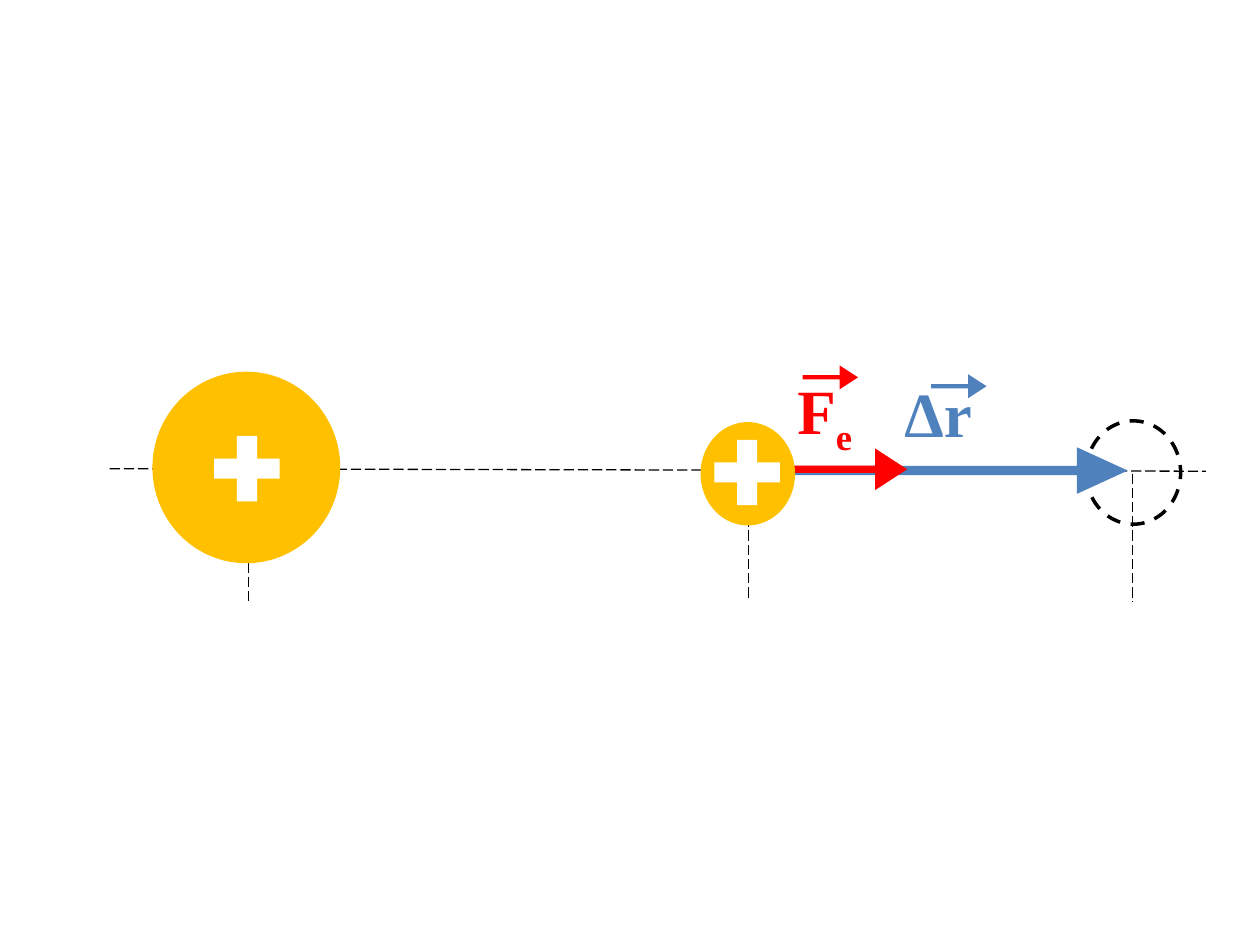
"""Draw the electric force and displacement of a charge repelled by another charge."""
from pptx import Presentation
from pptx import util as u
from pptx.dml.color import RGBColor
from pptx.enum import dml, shapes, text
from pptx.oxml.ns import qn
from lxml import etree

BLACK = RGBColor(0x00, 0x00, 0x00)
WHITE = RGBColor(0xFF, 0xFF, 0xFF)
GOLD = RGBColor(0xFF, 0xC0, 0x00)
RED = RGBColor(0xFF, 0x00, 0x00)
BLUE = RGBColor(0x4F, 0x81, 0xBD)
FONT = "Times New Roman"

GUIDES = [
    (1.97, 3.79, 1.97, 4.8),
    (5.94, 3.76, 5.94, 4.77),
    (0.87, 3.72, 9.57, 3.74),
    (8.99, 3.76, 8.99, 4.78),
]
FINAL_POSITION = (8.62, 3.34, 0.75, 0.82)
VECTORS = [
    ((5.97, 3.55, 2.98, 0.37), (0.2, 1.09), BLUE),
    ((5.95, 3.56, 1.25, 0.33), (0.18, 0.77), RED),
]
LABELS = [
    ((6.23, 2.9, 0.66, 0.71), [("F", False), ("e", True)], RED),
    ((7.08, 2.92, 0.8, 0.71), [("Δr", False)], BLUE),
]
LABEL_ARROWS = [
    ((6.37, 2.9, 0.44, 0.19), (0.18, 0.77), RED),
    ((7.39, 2.97, 0.44, 0.19), (0.18, 0.77), BLUE),
]
CHARGES = [
    ((1.21, 2.95, 1.49, 1.52), (1.96, 3.72)),
    ((5.56, 3.35, 0.75, 0.82), (5.93, 3.75)),
]
PLUS_LENGTH, PLUS_WIDTH = 0.52, 0.16


def add_figure(slide, kind, box, fill=None):
    figure = slide.shapes.add_shape(kind, *map(u.Inches, box))
    figure.shadow.inherit = False
    if fill is None:
        figure.fill.background()
    else:
        figure.fill.solid()
        figure.fill.fore_color.rgb = fill
        figure.line.fill.background()
    return figure


def style_line(line, width, dash):
    line.color.rgb = BLACK
    line.width = u.Pt(width)
    line.dash_style = dash


def add_guide(slide, ends):
    guide = slide.shapes.add_connector(
        shapes.MSO_CONNECTOR.STRAIGHT, *map(u.Inches, ends))
    style_line(guide.line, 0.75, dml.MSO_LINE.LONG_DASH)
    etree.SubElement(guide._element.spPr, qn("a:effectLst"))


def add_vector(slide, box, proportions, color):
    vector = add_figure(slide, shapes.MSO_SHAPE.RIGHT_ARROW, box, color)
    for index, proportion in enumerate(proportions):
        vector.adjustments[index] = proportion


def add_label(slide, box, pieces, color):
    label = slide.shapes.add_textbox(*map(u.Inches, box))
    frame = label.text_frame
    frame.word_wrap = False
    frame.auto_size = text.MSO_AUTO_SIZE.SHAPE_TO_FIT_TEXT
    for wording, subscript in pieces:
        run = frame.paragraphs[0].add_run()
        run.text = wording
        run.font.name = FONT
        run.font.size = u.Pt(36)
        run.font.bold = True
        run.font.color.rgb = color
        if subscript:
            run.font._element.set("baseline", "-25000")


def add_plus(slide, center):
    x, y = center
    box = (x - PLUS_LENGTH / 2, y - PLUS_WIDTH / 2, PLUS_LENGTH, PLUS_WIDTH)
    for angle in (0, 90):
        bar = add_figure(slide, shapes.MSO_SHAPE.RECTANGLE, box, WHITE)
        bar.rotation = angle


def main():
    deck = Presentation()
    deck.slide_width, deck.slide_height = u.Inches(10), u.Inches(7.5)
    slide = deck.slides.add_slide(deck.slide_layouts[6])
    for ends in GUIDES:
        add_guide(slide, ends)
    final = add_figure(slide, shapes.MSO_SHAPE.OVAL, FINAL_POSITION)
    style_line(final.line, 2, dml.MSO_LINE.DASH)
    for vector in VECTORS:
        add_vector(slide, *vector)
    for label in LABELS:
        add_label(slide, *label)
    for arrow in LABEL_ARROWS:
        add_vector(slide, *arrow)
    for box, _ in CHARGES:
        add_figure(slide, shapes.MSO_SHAPE.OVAL, box, GOLD)
    for _, center in CHARGES:
        add_plus(slide, center)
    deck.save("out.pptx")


if __name__ == "__main__":
    main()
